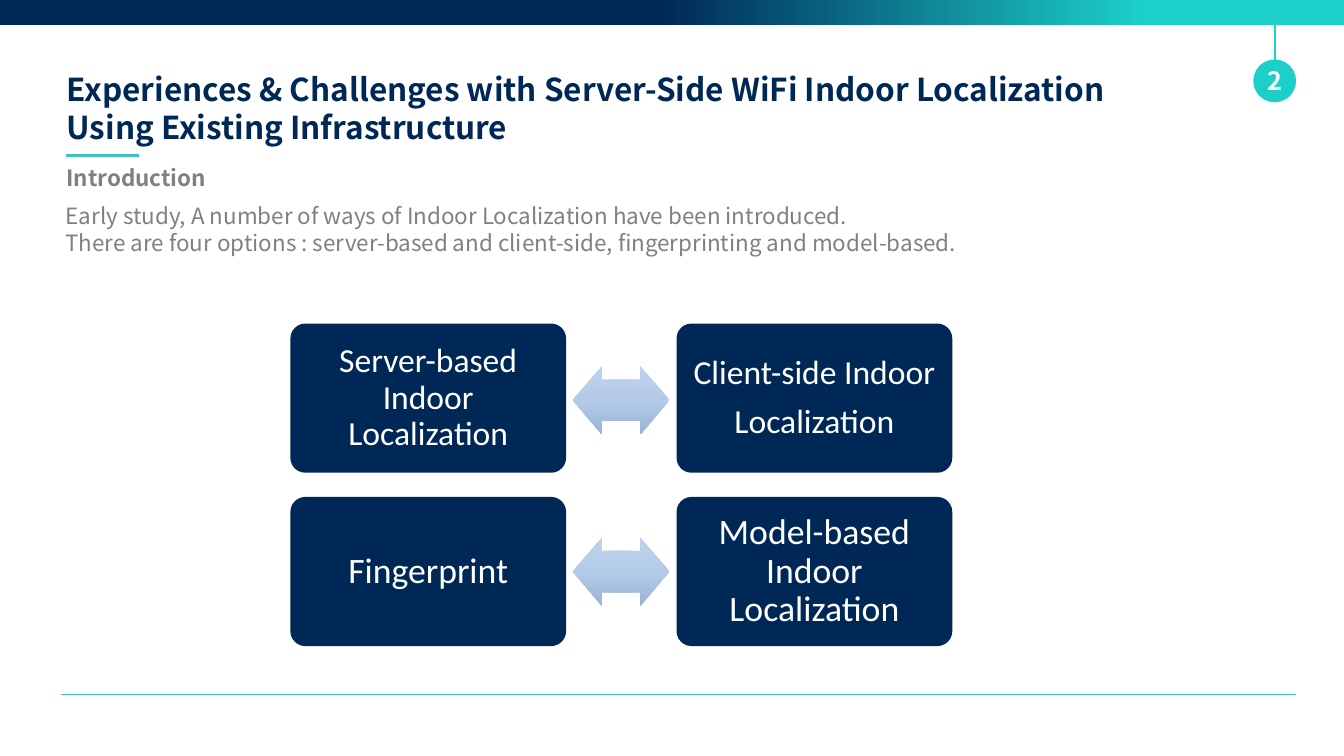
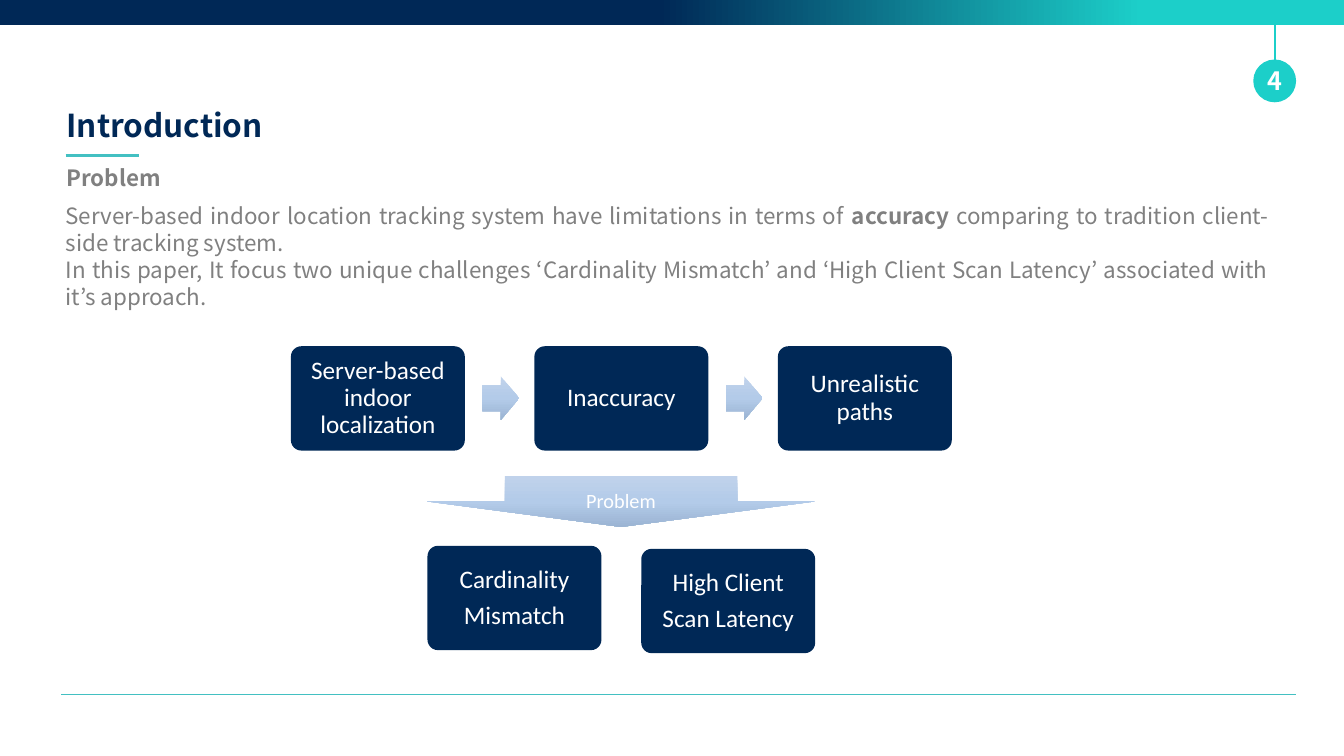
"""Build two slides on indoor localization with a shared frame and box diagrams."""
from copy import deepcopy
from dataclasses import dataclass

from lxml.etree import SubElement
from pptx import Presentation
from pptx.dml.color import RGBColor
from pptx.enum.shapes import MSO_CONNECTOR, MSO_SHAPE
from pptx.enum.text import MSO_ANCHOR, MSO_AUTO_SIZE, PP_ALIGN
from pptx.oxml.ns import qn
from pptx.util import Inches, Pt


@dataclass(frozen=True)
class Theme:
    navy: str = "002856"
    teal: str = "1CCFC9"
    rule: str = "43C0C2"
    grey: str = "808080"
    white: str = "FFFFFF"
    text_font: str = "Noto Sans CJK KR"
    diagram_font: str = "Calibri"
    title_size: int = 45
    body_size: int = 32
    badge_size: int = 36
    label_size: int = 29
    band_stops: tuple = ((0.49, "002856"), (0.85, "1CCFC9"))
    arrow_stops: tuple = ((0, "C0D2EB"), (0.5, "B3CBE9"), (1, "9BB4D3"))


@dataclass(frozen=True)
class Grid:
    left: float
    top: float
    width: float
    height: float
    column_step: float
    row_step: float = 0

    def place(self, column, row=0):
        return (self.left + column * self.column_step, self.top + row * self.row_step,
                self.width, self.height)


THEME = Theme()
WIDTH, HEIGHT = 26.66, 15
MARGIN, RIGHT = 1.22, 25.71
BADGE = 0.85
BADGE_CENTRE = RIGHT - BADGE / 2

OPTIONS = {
    "number": "2",
    "title": ["Experiences & Challenges with Server-Side WiFi Indoor Localization",
              "Using Existing Infrastructure"],
    "title_place": (1.34, 1.62),
    "heading": "Introduction",
    "body": [
        [("Early study, A number of ways of Indoor Localization have been introduced.", False)],
        [("There are four options : server-based and client-side, "
          "fingerprinting and model-based.", False)],
    ],
    "body_height": 1.18,
}
OPTION_ROWS = [
    (48, 0.2, ["Server-based Indoor Localization"], ["Client-side Indoor", "Localization"]),
    (51, 0.21, ["Fingerprint"], ["Model-based Indoor Localization"]),
]
OPTION_GRID = Grid(5.76, 6.42, 5.47, 2.96, 7.66, 3.44)
OPTION_ARROWS = Grid(11.36, 7.26, 1.16, 1.36, 0.76, 3.4)

PROBLEM = {
    "number": "4",
    "title": ["Introduction"],
    "title_place": (2.05, 0.86),
    "heading": "Problem",
    "body": [
        [("Server-based indoor location tracking system have limitations in terms of ", False),
         ("accuracy", True),
         (" comparing to tradition client-side tracking system.", False)],
        [("In this paper, It focus two unique challenges ‘Cardinality Mismatch’ and "
          "‘High Client Scan Latency’ associated with it’s approach.", False)],
    ],
    "body_height": 2.26,
}
STEPS = [["Server-based indoor localization"], ["Inaccuracy"], ["Unrealistic paths"]]
STEP_GRID = Grid(5.77, 6.87, 3.45, 2.07, 4.83)
STEP_ARROWS = Grid(9.57, 7.47, 0.73, 0.86, 4.83)
CHALLENGES = [["Cardinality", "Mismatch"], ["High Client", "Scan Latency"]]
CHALLENGE_GRID = Grid(8.48, 10.83, 3.45, 2.07, 4.24)
CHALLENGE_DROP = 0.06
STEP_SIZE, STEP_INSET = 36, 0.15
PROBLEM_LABEL = "Problem"
PROBLEM_CENTRE = (12.32, 9.95)
PROBLEM_ARROW = (1.01, 7.69)
LABEL_BOX = (4.61, 1.01)


def inches(*lengths):
    return [Inches(length) for length in lengths]


def around(centre, width, height):
    return centre[0] - width / 2, centre[1] - height / 2, width, height


def style(paragraph, size, color, font=THEME.text_font, bold=False, align=PP_ALIGN.LEFT):
    paragraph.font.name = font
    paragraph.font.size = Pt(size)
    paragraph.font.bold = bold
    paragraph.font.color.rgb = RGBColor.from_string(color)
    paragraph.alignment = align


def set_frame(shape, anchor=MSO_ANCHOR.TOP, insets=(0.1, 0.05, 0.1, 0.05)):
    frame = shape.text_frame
    frame.word_wrap = True
    frame.auto_size = MSO_AUTO_SIZE.NONE
    frame.vertical_anchor = anchor
    (frame.margin_left, frame.margin_top,
     frame.margin_right, frame.margin_bottom) = inches(*insets)
    return frame


def fill_gradient(shape, stops, angle):
    shape.fill.gradient()
    shape.fill.gradient_angle = angle
    gradient = shape._element.spPr.find(qn("a:gradFill"))
    gradient.set("rotWithShape", "0")
    stop_list = gradient.find(qn("a:gsLst"))
    while len(stop_list) < len(stops):
        stop_list.append(deepcopy(stop_list[0]))
    for stop, (position, color) in zip(shape.fill.gradient_stops, stops):
        stop.position = position
        stop.color.rgb = RGBColor.from_string(color)


def add_shape(slide, kind, place, color=None):
    shape = slide.shapes.add_shape(kind, *inches(*place))
    shape.shadow.inherit = False
    shape.line.fill.background()
    if color:
        shape.fill.solid()
        shape.fill.fore_color.rgb = RGBColor.from_string(color)
    return shape


def add_line(slide, start, end, color, weight):
    connector = slide.shapes.add_connector(MSO_CONNECTOR.STRAIGHT, *inches(*start, *end))
    connector.line.color.rgb = RGBColor.from_string(color)
    connector.line.width = Pt(weight)
    SubElement(connector._element.spPr, qn("a:effectLst"))


def add_arrow(slide, place, rotation=0):
    arrow = add_shape(slide, MSO_SHAPE.RIGHT_ARROW, place)
    arrow.adjustments[0], arrow.adjustments[1] = 0.6, 0.5
    arrow.rotation = rotation
    fill_gradient(arrow, THEME.arrow_stops, 270)


def write_diagram_text(frame, lines, size):
    frame.text = "\n".join(lines)
    for paragraph in frame.paragraphs:
        style(paragraph, size, THEME.white, THEME.diagram_font, align=PP_ALIGN.CENTER)
        paragraph.line_spacing = 0.9
        paragraph.space_after = Pt(round(size * 0.35, 1))


def add_box(slide, place, lines, size, inset):
    box = add_shape(slide, MSO_SHAPE.ROUNDED_RECTANGLE, place, THEME.navy)
    box.adjustments[0] = 0.1
    write_diagram_text(set_frame(box, MSO_ANCHOR.MIDDLE, (inset,) * 4), lines, size)


def add_header(slide, number):
    band = add_shape(slide, MSO_SHAPE.RECTANGLE, (0, 0, WIDTH, 0.49))
    fill_gradient(band, THEME.band_stops, 0)
    add_line(slide, (BADGE_CENTRE, 0), (BADGE_CENTRE, 1.6), THEME.teal, 3.25)
    badge = add_shape(slide, MSO_SHAPE.OVAL, (RIGHT - BADGE, 1.18, BADGE, BADGE), THEME.teal)
    frame = set_frame(badge, MSO_ANCHOR.MIDDLE, (0, 0, 0, 0))
    frame.text = number
    style(frame.paragraphs[0], THEME.badge_size, THEME.white, bold=True, align=PP_ALIGN.CENTER)


def add_text_slide(presentation, content):
    slide = presentation.slides.add_slide(presentation.slide_layouts[5])
    title = slide.shapes.title
    top, height = content["title_place"]
    title.left, title.top, title.width, title.height = inches(MARGIN, top, 23.21, height)
    frame = set_frame(title)
    frame.text = "\n".join(content["title"])
    for paragraph in frame.paragraphs:
        style(paragraph, THEME.title_size, THEME.navy, bold=True)

    body = slide.shapes.add_textbox(*inches(1.1, 3.97, 24.19, content["body_height"]))
    frame = set_frame(body, insets=(0.2, 0.05, 0.12, 0.05))
    for index, runs in enumerate(content["body"]):
        paragraph = frame.add_paragraph() if index else frame.paragraphs[0]
        style(paragraph, THEME.body_size, THEME.grey, align=PP_ALIGN.JUSTIFY)
        for text, bold in runs:
            run = paragraph.add_run()
            run.text = text
            if bold:
                run.font.bold = True

    heading = slide.shapes.add_textbox(*inches(MARGIN, 3.21, 4.33, 0.64))
    frame = set_frame(heading)
    frame.text = content["heading"]
    style(frame.paragraphs[0], THEME.body_size, THEME.grey, bold=True)

    add_line(slide, (1.3, 3.09), (2.76, 3.09), THEME.rule, 4.5)
    add_line(slide, (MARGIN, 13.78), (RIGHT, 13.78), THEME.rule, 0.5)
    add_header(slide, content["number"])
    return slide


def add_options(slide):
    for row, (size, inset, *boxes) in enumerate(OPTION_ROWS):
        for column, lines in enumerate(boxes):
            add_box(slide, OPTION_GRID.place(column, row), lines, size, inset)
            add_arrow(slide, OPTION_ARROWS.place(column, row), 0 if column else 180)


def add_problem(slide):
    for column, lines in enumerate(STEPS):
        add_box(slide, STEP_GRID.place(column), lines, STEP_SIZE, STEP_INSET)
        if column < len(STEPS) - 1:
            add_arrow(slide, STEP_ARROWS.place(column))
    add_arrow(slide, around(PROBLEM_CENTRE, *PROBLEM_ARROW), 90)
    label = slide.shapes.add_textbox(*inches(*around(PROBLEM_CENTRE, *LABEL_BOX)))
    frame = set_frame(label, MSO_ANCHOR.MIDDLE, (0, 0, 0, 0))
    write_diagram_text(frame, [PROBLEM_LABEL], THEME.label_size)
    for column, lines in enumerate(CHALLENGES):
        left, top, width, height = CHALLENGE_GRID.place(column)
        place = left, top + column * CHALLENGE_DROP, width, height
        add_box(slide, place, lines, STEP_SIZE, STEP_INSET)


def main():
    presentation = Presentation()
    presentation.slide_width, presentation.slide_height = inches(WIDTH, HEIGHT)
    add_options(add_text_slide(presentation, OPTIONS))
    add_problem(add_text_slide(presentation, PROBLEM))
    presentation.save("out.pptx")


if __name__ == "__main__":
    main()
